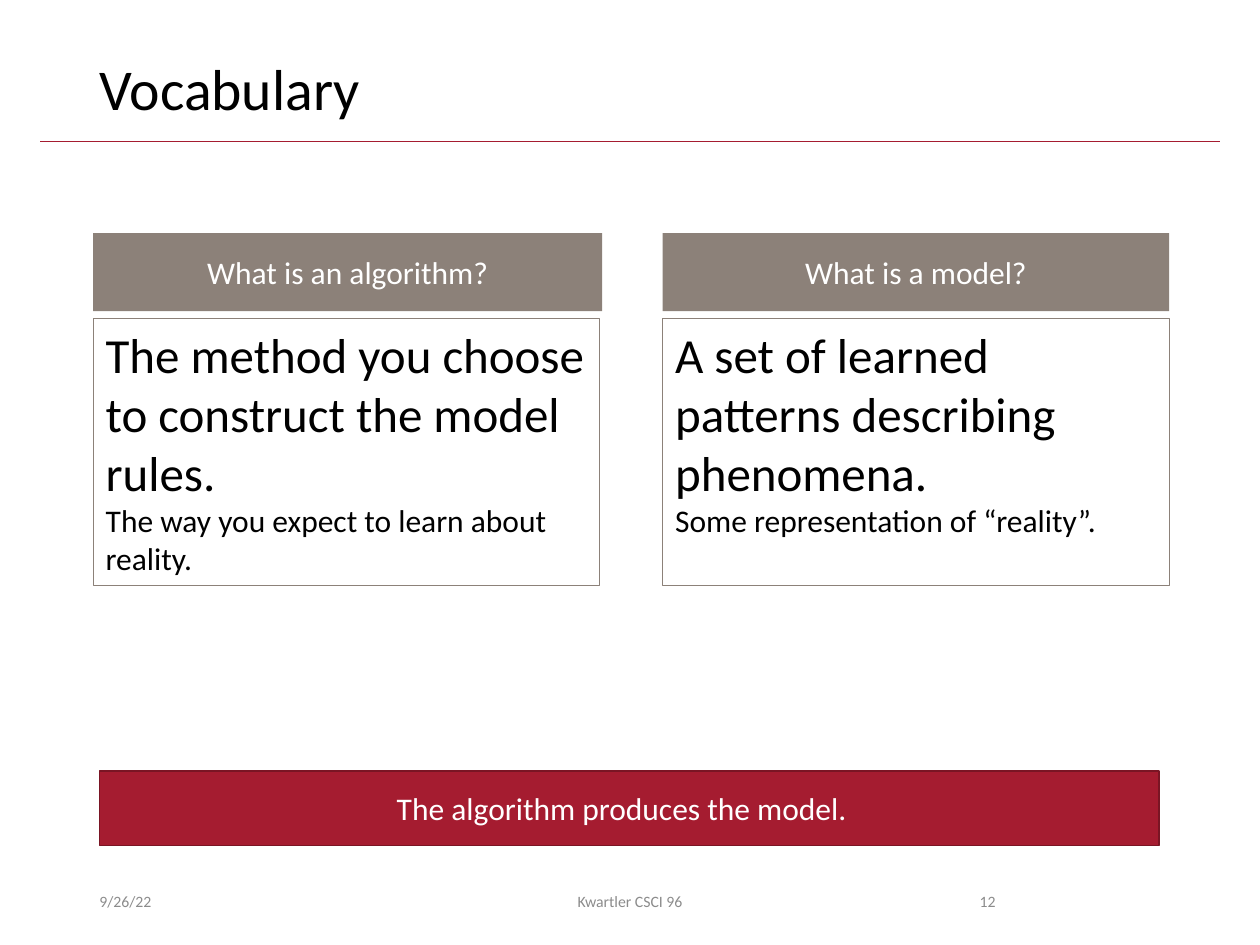
from dataclasses import dataclass

from lxml import etree
from pptx import Presentation
from pptx.dml.color import RGBColor
from pptx.enum.shapes import MSO_CONNECTOR as Connector, MSO_SHAPE as Shape
from pptx.enum.text import MSO_ANCHOR as Anchor, PP_ALIGN as Align
from pptx.oxml.ns import qn
from pptx.slide import Slide
from pptx.util import Inches, Pt


def rgb(value):
    return RGBColor.from_string(value)


def write(frame, *lines, font="Calibri", color="000000", align=Align.LEFT,
          anchor=Anchor.MIDDLE, spacing=None, right_inset=0.1):
    frame.word_wrap = True
    frame.vertical_anchor = anchor
    frame.margin_right = Inches(right_inset)
    for index, (words, size) in enumerate(lines):
        paragraph = frame.add_paragraph() if index else frame.paragraphs[0]
        paragraph.alignment = align
        paragraph.line_spacing = spacing
        run = paragraph.add_run()
        run.text = words
        run.font.name = font
        run.font.size = Pt(size)
        run.font.color.rgb = rgb(color)


@dataclass
class Deck:
    """Holds the slide and its colours and draws each kind of element."""
    slide: Slide
    crimson: str = "A51C30"
    dark_crimson: str = "7A1524"
    taupe: str = "8C8179"
    gray: str = "8C8C8C"
    white: str = "FFFFFF"

    def rule(self, left, right, y):
        line = self.slide.shapes.add_connector(
            Connector.STRAIGHT, Inches(left), Inches(y), Inches(right), Inches(y))
        line.line.color.rgb = rgb(self.crimson)
        line.line.width = Pt(0.5)
        etree.SubElement(line._element.spPr, qn("a:effectLst"))

    def text(self, box, *lines, **style):
        label = self.slide.shapes.add_textbox(*map(Inches, box))
        write(label.text_frame, *lines, **style)

    def panel(self, box, *lines, fill=None, outline=None, width=0.75, **style):
        panel = self.slide.shapes.add_shape(Shape.RECTANGLE, *map(Inches, box))
        panel.shadow.inherit = False
        if fill:
            panel.fill.solid()
            panel.fill.fore_color.rgb = rgb(fill)
        else:
            panel.fill.background()
        if outline:
            panel.line.color.rgb = rgb(outline)
            panel.line.width = Pt(width)
        else:
            panel.line.fill.background()
        write(panel.text_frame, *lines, **style)

    def definition(self, left, header_width, question, answer, remark):
        self.panel((left, 1.85, header_width, 0.62), (question, 18),
                   fill=self.taupe, color=self.white, align=Align.CENTER)
        self.panel((left, 2.53, 4.02, 2.12), (answer, 28), (remark, 18),
                   outline=self.taupe, anchor=Anchor.TOP)

    def footer(self, left, width, words, align):
        self.text((left, 6.95, width, 0.4), (words, 9), color=self.gray, align=align)


def main():
    presentation = Presentation()
    presentation.slide_width, presentation.slide_height = Inches(10), Inches(7.5)
    deck = Deck(presentation.slides.add_slide(presentation.slide_layouts[6]))

    deck.rule(0.32, 9.68, 1.12)
    deck.text((0.69, 0.4, 8.62, 0.65), ("Vocabulary", 33), spacing=0.9)
    deck.definition(0.74, 4.04, "What is an algorithm?",
                    "The method you choose to construct the model rules.",
                    "The way you expect to learn about reality.")
    deck.definition(5.26, 4.02, "What is a model?",
                    "A set of learned patterns describing phenomena.",
                    "Some representation of “reality”.")
    deck.panel((0.79, 6.12, 8.41, 0.59), ("The algorithm produces the model.", 18),
               fill=deck.crimson, outline=deck.dark_crimson, width=1,
               color=deck.white, align=Align.CENTER, right_inset=0.22)
    deck.footer(0.69, 2.25, "9/26/22", Align.LEFT)
    deck.footer(3.31, 3.38, "Kwartler CSCI 96", Align.CENTER)
    deck.footer(7.06, 0.94, "12", Align.RIGHT)
    presentation.save("out.pptx")


if __name__ == "__main__":
    main()
